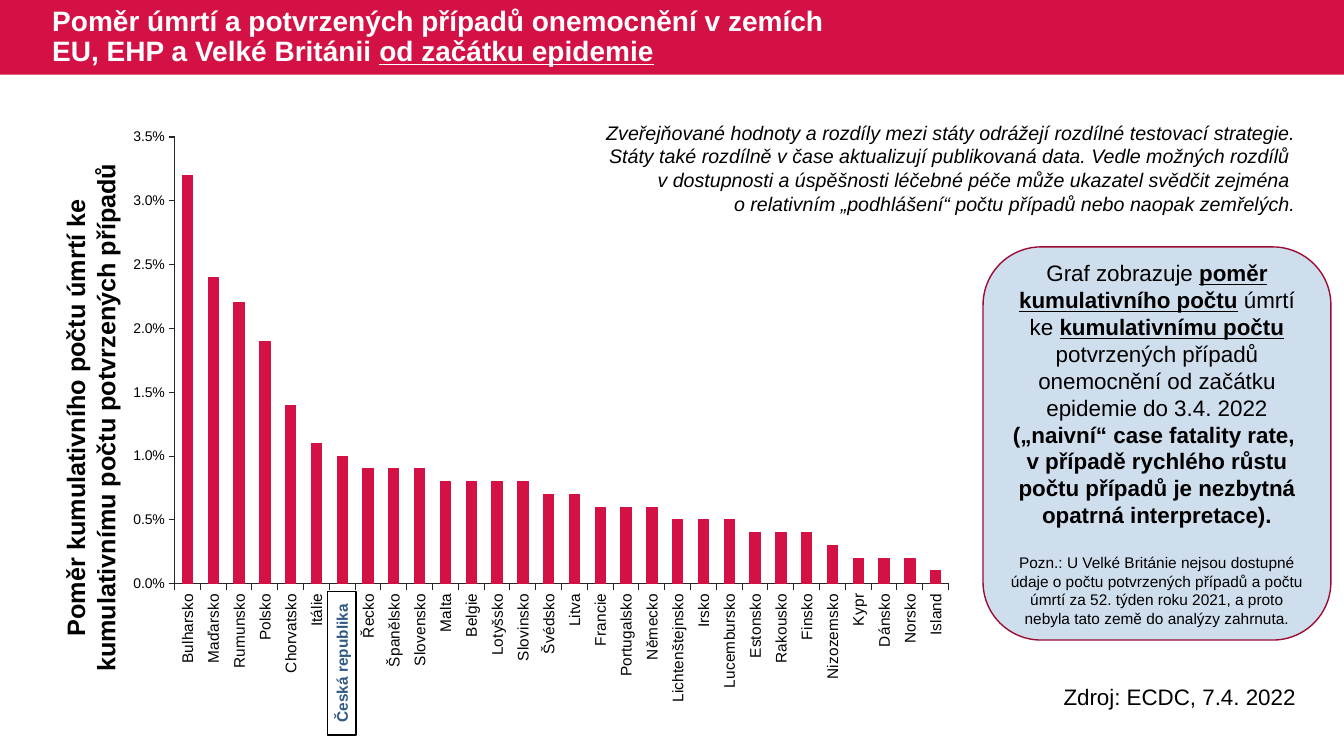
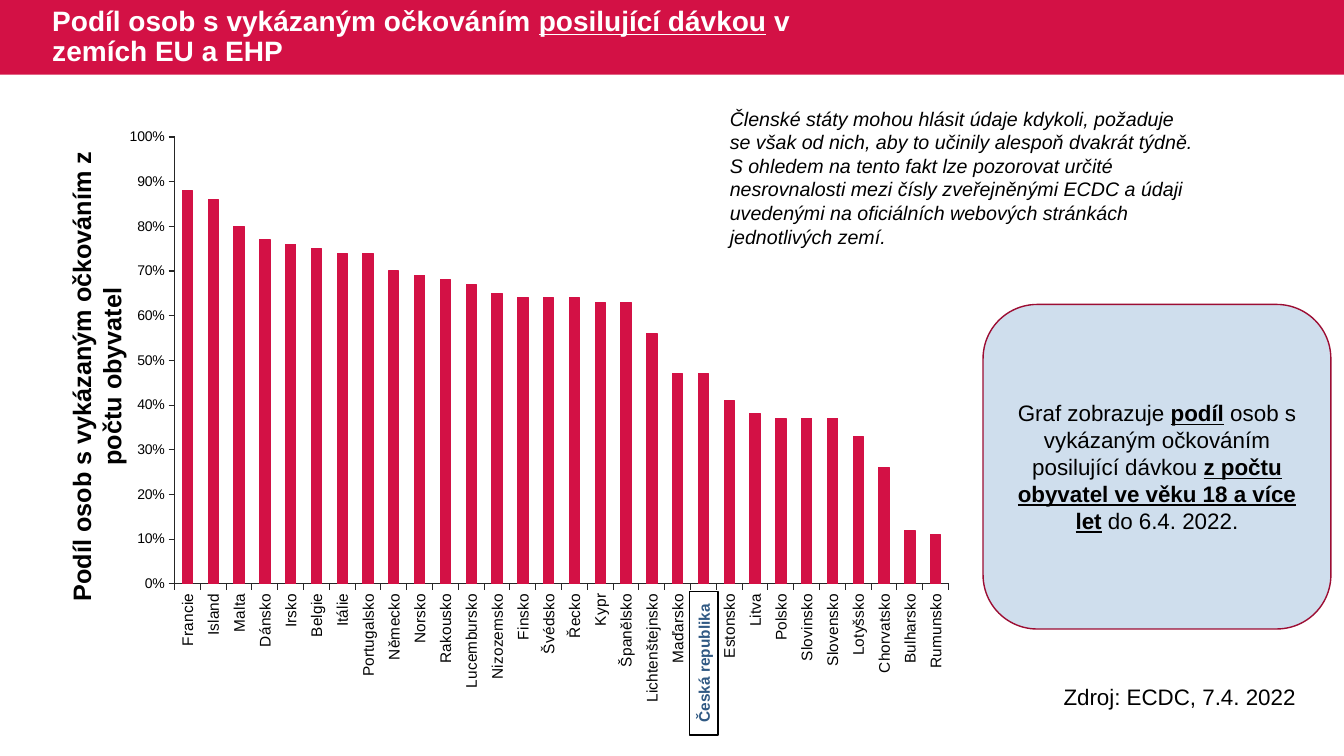
from lxml import etree
from pptx import Presentation
from pptx.chart.data import CategoryChartData
from pptx.dml.color import RGBColor
from pptx.enum.chart import XL_CHART_TYPE, XL_TICK_MARK
from pptx.enum.shapes import MSO_SHAPE
from pptx.enum.text import MSO_ANCHOR, PP_ALIGN
from pptx.oxml.ns import qn
from pptx.util import Inches, Pt

COLUMNS = XL_CHART_TYPE.COLUMN_CLUSTERED
TICK_OUT, TICK_NONE = XL_TICK_MARK.OUTSIDE, XL_TICK_MARK.NONE
RECTANGLE, ROUNDED = MSO_SHAPE.RECTANGLE, MSO_SHAPE.ROUNDED_RECTANGLE
TOP, MIDDLE = MSO_ANCHOR.TOP, MSO_ANCHOR.MIDDLE
LEFT, CENTER, RIGHT = PP_ALIGN.LEFT, PP_ALIGN.CENTER, PP_ALIGN.RIGHT

FONT = "Arial"
CRIMSON, WINE, PALE_BLUE, STEEL = "D31145", "9C0D33", "CFDEED", "305983"
BLACK, WHITE, AXIS_GRAY = "000000", "FFFFFF", "262626"

BOLD = {"bold": True}
UNDERLINE = {"underline": True}
EMPHASIS = {**BOLD, **UNDERLINE}
SMALL = {"size": 11}

CHART_BOX = (1.16, 1.08, 8.4, 5.95)
PLOT = {"x": 0.068, "y": 0.047, "w": 0.914, "h": 0.745}
HIGHLIGHT = "Česká republika"


def rgb(value):
    return RGBColor.from_string(value)


def add_span(para, text, size=16, color=BLACK, bold=False, italic=False, underline=False):
    for index, line in enumerate(text.split("\n")):
        if index:
            para.add_line_break()
        if not line:
            continue
        span = para.add_run()
        span.text = line
        span.font.name = FONT
        span.font.size = Pt(size)
        span.font.color.rgb = rgb(color)
        span.font.bold = bold
        span.font.italic = italic
        span.font.underline = underline


class Report:
    def __init__(self):
        self.deck = Presentation()
        self.deck.slide_width = Inches(13.33)
        self.deck.slide_height = Inches(7.5)
        self.page = None

    def new_page(self, title):
        self.page = self.deck.slides.add_slide(self.deck.slide_layouts[6])
        self.shape(RECTANGLE, (0, 0, 13.33, 0.74), CRIMSON)
        self.text((0.42, 0, 8.16, 0.74), [title], anchor=MIDDLE, spacing=0.9,
                  size=20, color=WHITE, bold=True)
        self.text((10.45, 6.73, 2.8, 0.37), [[("Zdroj: ECDC, 7.4. 2022", {})]])

    def fill_text(self, box, paragraphs, align=LEFT, anchor=TOP, spacing=None, gap=0, **style):
        frame = box.text_frame
        frame.word_wrap = True
        frame.vertical_anchor = anchor
        for index, spans in enumerate(paragraphs):
            para = frame.add_paragraph() if index else frame.paragraphs[0]
            para.alignment = align
            if spacing:
                para.line_spacing = spacing
            if index and gap:
                para.space_before = Pt(gap)
            for text, changes in spans:
                add_span(para, text, **{**style, **changes})

    def text(self, place, paragraphs, rotation=0, **style):
        box = self.page.shapes.add_textbox(*map(Inches, place))
        box.rotation = rotation
        self.fill_text(box, paragraphs, **style)

    def shape(self, kind, place, fill, line=None):
        box = self.page.shapes.add_shape(kind, *map(Inches, place))
        box.shadow.inherit = False
        box.fill.solid()
        box.fill.fore_color.rgb = rgb(fill)
        if line:
            box.line.color.rgb = rgb(line)
            box.line.width = Pt(1)
        else:
            box.line.fill.background()
        return box

    def callout(self, top, height, paragraphs):
        box = self.shape(ROUNDED, (9.75, top, 3.45, height), PALE_BLUE, WINE)
        self.fill_text(box, paragraphs, align=CENTER, anchor=MIDDLE, gap=18)

    def axis_title(self, place, text):
        self.text(place, [[(text, {})]], rotation=270, align=CENTER, size=18, bold=True)

    def highlight(self, position, count):
        left, _, width, _ = CHART_BOX
        middle = left + width * (PLOT["x"] + PLOT["w"] * (position + 0.5) / count)
        box = self.shape(RECTANGLE, (round(middle - 0.71, 2), 6.44, 1.42, 0.28), WHITE, BLACK)
        box.rotation = 270
        frame = box.text_frame
        frame.margin_left = frame.margin_right = 0
        self.fill_text(box, [[(HIGHLIGHT, {})]], align=CENTER, anchor=MIDDLE,
                       size=11, color=STEEL, bold=True)

    def style_axis(self, axis, size):
        axis.has_major_gridlines = False
        axis.major_tick_mark = TICK_OUT
        axis.minor_tick_mark = TICK_NONE
        axis.format.line.color.rgb = rgb(AXIS_GRAY)
        axis.format.line.width = Pt(0.75)
        font = axis.tick_labels.font
        font.name = FONT
        font.size = Pt(size)
        font.color.rgb = rgb(BLACK)

    def column_chart(self, values, number_format, maximum, step):
        data = CategoryChartData(number_format=number_format)
        data.categories = list(values)
        data.add_series("Series 1", list(values.values()))
        chart = self.page.shapes.add_chart(COLUMNS, *map(Inches, CHART_BOX), data).chart
        chart.has_legend = False
        chart.has_title = False
        chart.font.name = FONT
        chart.font.size = Pt(10)
        plot = chart.plots[0]
        plot.gap_width = 150
        plot.vary_by_categories = False
        bars = plot.series[0].format
        bars.fill.solid()
        bars.fill.fore_color.rgb = rgb(CRIMSON)
        bars.line.color.rgb = rgb(CRIMSON)
        bars.line.width = Pt(0.75)
        self.style_axis(chart.category_axis, 11)
        self.style_axis(chart.value_axis, 10)
        chart.value_axis.minimum_scale = 0
        chart.value_axis.maximum_scale = maximum
        chart.value_axis.major_unit = step
        labels = chart.value_axis.tick_labels
        labels.number_format = number_format
        labels.number_format_is_linked = False
        body = chart.element.find(".//" + qn("c:catAx")).find(".//" + qn("a:bodyPr"))
        body.set("rot", "-5400000")
        body.set("vert", "horz")
        self.place_plot(chart.element.find(".//" + qn("c:plotArea")))
        self.highlight(list(values).index(HIGHLIGHT), len(values))

    def place_plot(self, area):
        for old in area.findall(qn("c:layout")):
            area.remove(old)
        layout = etree.Element(qn("c:layout"))
        manual = etree.SubElement(layout, qn("c:manualLayout"))
        settings = {"layoutTarget": "inner", "xMode": "edge", "yMode": "edge", **PLOT}
        for name, value in settings.items():
            etree.SubElement(manual, qn("c:" + name)).set("val", str(value))
        area.insert(0, layout)


FATALITY = {
    "Bulharsko": 0.032, "Maďarsko": 0.024, "Rumunsko": 0.022, "Polsko": 0.019,
    "Chorvatsko": 0.014, "Itálie": 0.011, "Česká republika": 0.01, "Řecko": 0.009,
    "Španělsko": 0.009, "Slovensko": 0.009, "Malta": 0.008, "Belgie": 0.008,
    "Lotyšsko": 0.008, "Slovinsko": 0.008, "Švédsko": 0.007, "Litva": 0.007,
    "Francie": 0.006, "Portugalsko": 0.006, "Německo": 0.006, "Lichtenštejnsko": 0.005,
    "Irsko": 0.005, "Lucembursko": 0.005, "Estonsko": 0.004, "Rakousko": 0.004,
    "Finsko": 0.004, "Nizozemsko": 0.003, "Kypr": 0.002, "Dánsko": 0.002,
    "Norsko": 0.002, "Island": 0.001,
}
BOOSTER = {
    "Francie": 0.88, "Island": 0.86, "Malta": 0.8, "Dánsko": 0.77, "Irsko": 0.76,
    "Belgie": 0.75, "Itálie": 0.74, "Portugalsko": 0.74, "Německo": 0.7, "Norsko": 0.69,
    "Rakousko": 0.68, "Lucembursko": 0.67, "Nizozemsko": 0.65, "Finsko": 0.64,
    "Švédsko": 0.64, "Řecko": 0.64, "Kypr": 0.63, "Španělsko": 0.63,
    "Lichtenštejnsko": 0.56, "Maďarsko": 0.47, "Česká republika": 0.47, "Estonsko": 0.41,
    "Litva": 0.38, "Polsko": 0.37, "Slovinsko": 0.37, "Slovensko": 0.37, "Lotyšsko": 0.33,
    "Chorvatsko": 0.26, "Bulharsko": 0.12, "Rumunsko": 0.11,
}


def fatality_page(report):
    report.new_page([
        ("Poměr úmrtí a potvrzených případů onemocnění v zemích EU, EHP a Velké Británii ", {}),
        ("od začátku epidemie", UNDERLINE),
    ])
    report.axis_title((-1.81, 3.79, 5.42, 0.71),
                      "Poměr kumulativního počtu úmrtí ke kumulativnímu počtu potvrzených případů")
    report.column_chart(FATALITY, "0.0%", 0.035, 0.005)
    report.callout(2.45, 3.9, [
        [
            ("Graf zobrazuje ", {}),
            ("poměr kumulativního počtu", EMPHASIS),
            (" úmrtí ke ", {}),
            ("kumulativnímu počtu", EMPHASIS),
            (" potvrzených případů onemocnění od začátku epidemie do 3.4. 2022\n", {}),
            ("(„naivní“ case fatality rate, \nv případě rychlého růstu počtu případů "
             "je nezbytná opatrná interpretace).", BOLD),
        ],
        [("Pozn.: U Velké Británie nejsou dostupné údaje o počtu potvrzených případů a počtu "
          "úmrtí za 52. týden roku 2021, a proto nebyla tato země do analýzy zahrnuta.", SMALL)],
    ])
    report.text((5.82, 1.15, 7.13, 1.04), [
        [("Zveřejňované hodnoty a rozdíly mezi státy odrážejí rozdílné testovací strategie. "
          "Státy také rozdílně v čase aktualizují publikovaná data. Vedle možných rozdílů \n"
          "v dostupnosti a úspěšnosti léčebné péče může ukazatel svědčit zejména ", {})],
        [("o relativním „podhlášení“ počtu případů nebo naopak zemřelých.", {})],
    ], align=RIGHT, size=14, italic=True)


def booster_page(report):
    report.new_page([
        ("Podíl osob s vykázaným očkováním ", {}),
        ("posilující dávkou", UNDERLINE),
        (" v zemích EU a EHP", {}),
    ])
    report.axis_title((-1.55, 3.38, 5.02, 0.71),
                      "Podíl osob s vykázaným očkováním z počtu obyvatel")
    report.column_chart(BOOSTER, "0%", 1, 0.1)
    report.callout(3.02, 3.22, [[
        ("Graf zobrazuje ", {}),
        ("podíl", EMPHASIS),
        (" osob s vykázaným očkováním posilující dávkou ", {}),
        ("z počtu obyvatel ve věku 18 a více let", EMPHASIS),
        (" do 6.4. 2022.", {}),
    ]])
    report.text((7.14, 1.01, 4.86, 1.51), [
        [("Členské státy mohou hlásit údaje kdykoli, požaduje se však od nich, aby to učinily "
          "alespoň dvakrát týdně. S ohledem na tento fakt lze pozorovat určité nesrovnalosti "
          "mezi čísly zveřejněnými ECDC a údaji uvedenými na oficiálních webových stránkách "
          "jednotlivých zemí.", {})],
    ], size=14, italic=True)


def main():
    report = Report()
    fatality_page(report)
    booster_page(report)
    report.deck.save("out.pptx")


if __name__ == "__main__":
    main()
